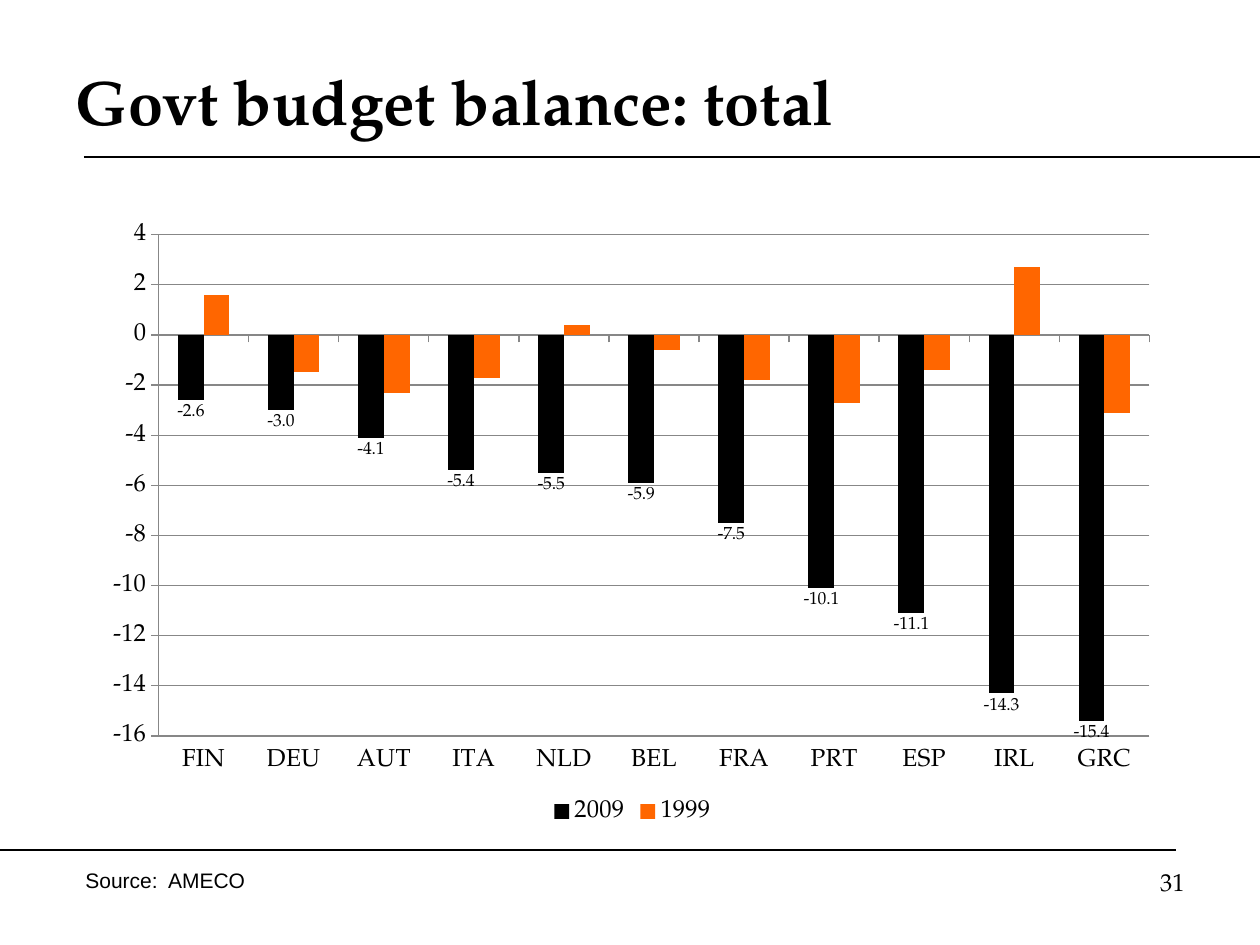
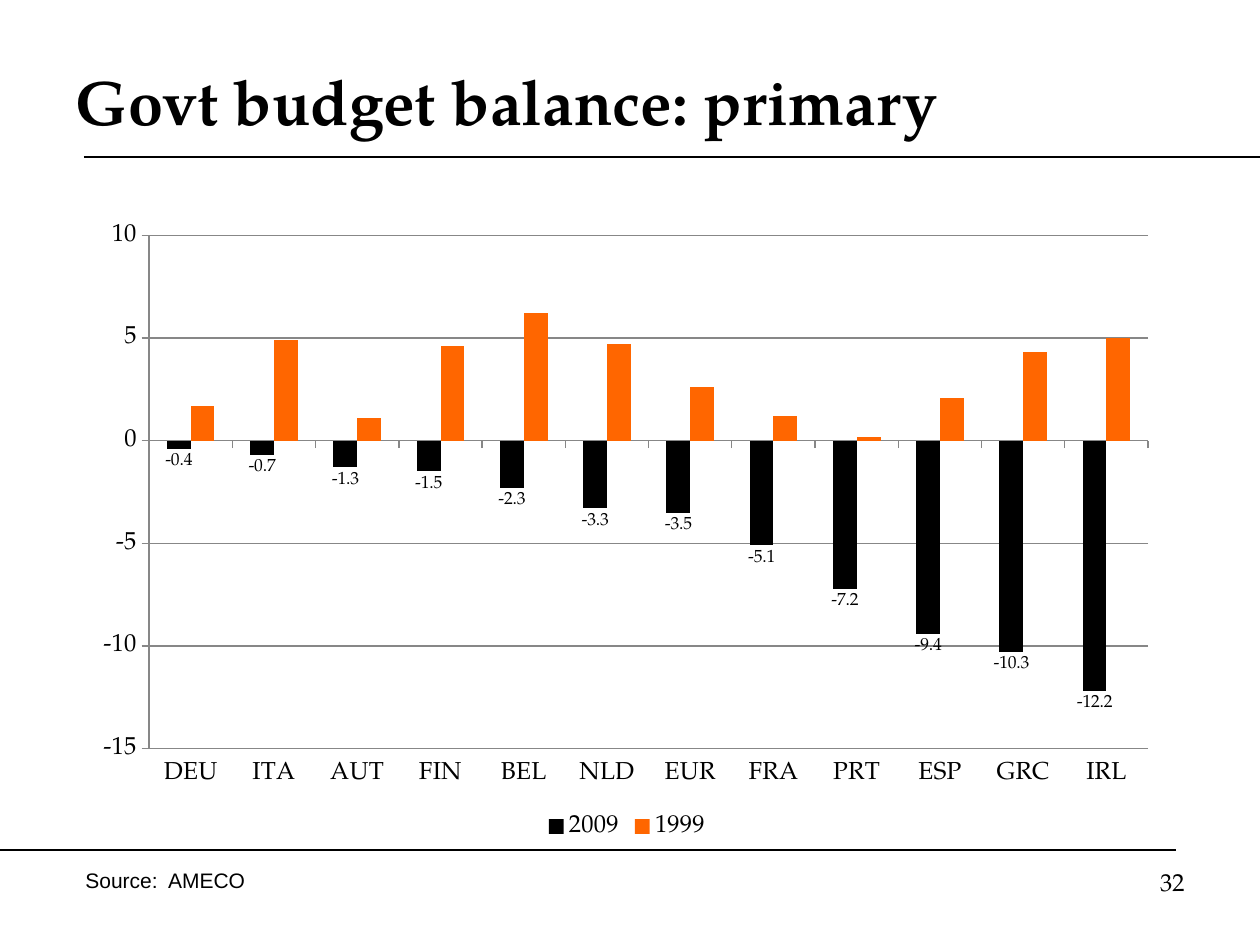
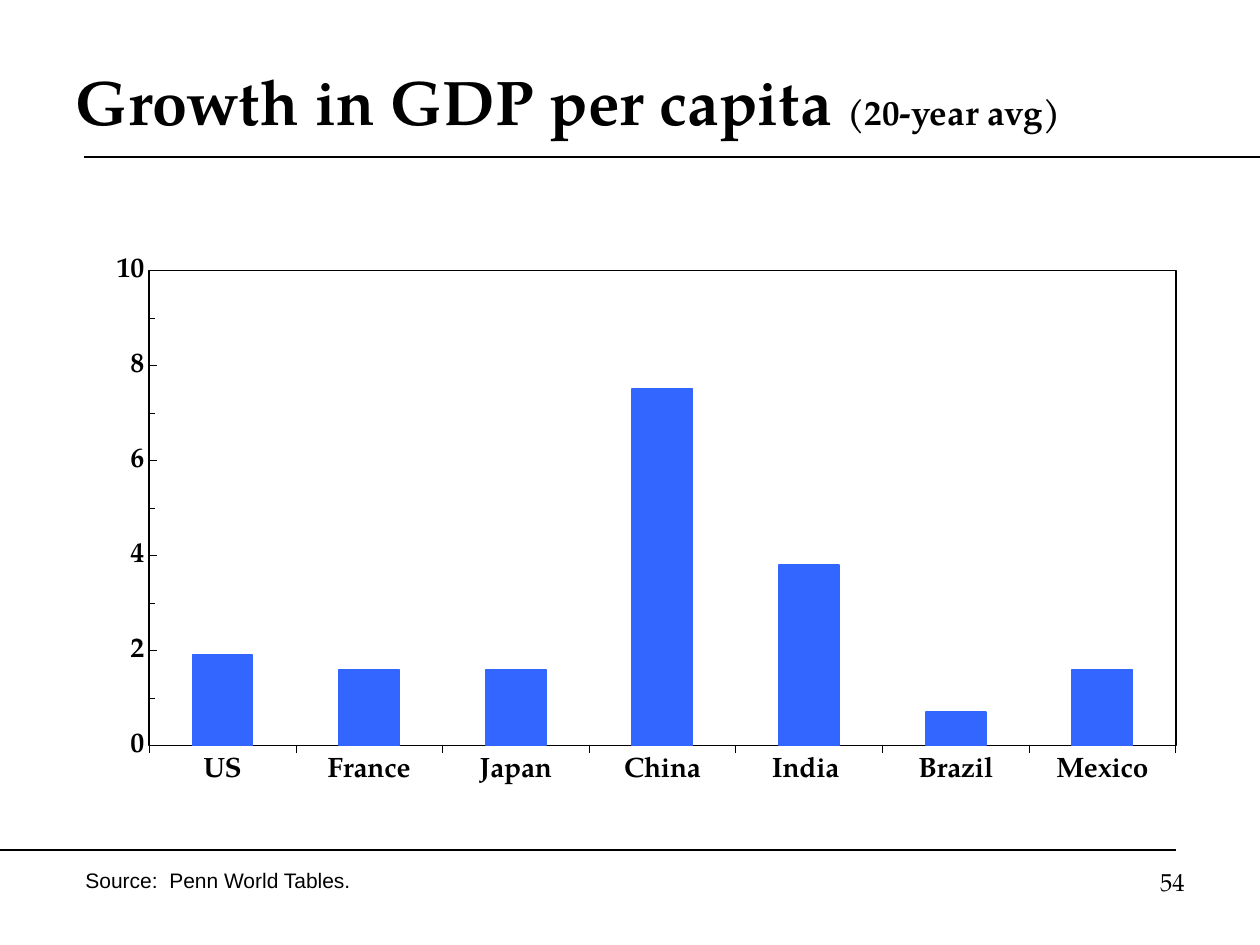
from dataclasses import dataclass

from pptx import Presentation
from pptx.chart.data import CategoryChartData
from pptx.dml.color import RGBColor
from pptx.enum.chart import (XL_CHART_TYPE, XL_LABEL_POSITION, XL_LEGEND_POSITION,
                             XL_TICK_LABEL_POSITION, XL_TICK_MARK)
from pptx.enum.text import MSO_ANCHOR, MSO_AUTO_SIZE, PP_ALIGN
from pptx.oxml import parse_xml
from pptx.oxml.ns import nsdecls
from pptx.util import Emu, Pt

COLUMN = XL_CHART_TYPE.COLUMN_CLUSTERED
BOTTOM = XL_LEGEND_POSITION.BOTTOM
LOW, NEAR = XL_TICK_LABEL_POSITION.LOW, XL_TICK_LABEL_POSITION.NEXT_TO_AXIS
OUT, IN, NONE = XL_TICK_MARK.OUTSIDE, XL_TICK_MARK.INSIDE, XL_TICK_MARK.NONE
OUTER = XL_LABEL_POSITION.OUTSIDE_END
LEFT, RIGHT = PP_ALIGN.LEFT, PP_ALIGN.RIGHT
MIDDLE = MSO_ANCHOR.MIDDLE
FIXED, GROW = MSO_AUTO_SIZE.NONE, MSO_AUTO_SIZE.SHAPE_TO_FIT_TEXT
SCALE = 914400 / 126


@dataclass(frozen=True)
class Theme:
    """Colours, fonts and type sizes of the deck."""
    ink: str = "000000"
    orange: str = "FF6600"
    blue: str = "3366FF"
    grey: str = "878787"
    serif: str = "TeX Gyre Pagella"
    sans: str = "Arial"
    title: int = 36
    sub: int = 20
    bold_axis: int = 16
    axis: int = 14
    note: int = 12
    label: int = 10


THEME = Theme()

TOTAL = {
    "cats": ["FIN", "DEU", "AUT", "ITA", "NLD", "BEL", "FRA", "PRT", "ESP", "IRL", "GRC"],
    "2009": [-2.6, -3, -4.1, -5.4, -5.5, -5.9, -7.5, -10.1, -11.1, -14.3, -15.4],
    "1999": [1.6, -1.5, -2.3, -1.7, 0.4, -0.6, -1.8, -2.7, -1.4, 2.7, -3.1],
}
PRIMARY = {
    "cats": ["DEU", "ITA", "AUT", "FIN", "BEL", "NLD", "EUR", "FRA", "PRT", "ESP", "GRC", "IRL"],
    "2009": [-0.4, -0.7, -1.3, -1.5, -2.3, -3.3, -3.5, -5.1, -7.2, -9.4, -10.3, -12.2],
    "1999": [1.7, 4.9, 1.1, 4.6, 6.2, 4.7, 2.6, 1.2, 0.2, 2.1, 4.3, 5],
}
GROWTH = {
    "cats": ["US", "France", "Japan", "China", "India ", "Brazil", "Mexico"],
    "Series 1": [1.9, 1.6, 1.6, 7.5, 3.8, 0.7, 1.6],
}


def px(*nums):
    """Turn px lengths into EMU."""
    return [Emu(round(num * SCALE)) for num in nums]


def put(item, **vals):
    """Set each named value on an object."""
    for name, val in vals.items():
        setattr(item, name, val)


def style(font, size, face=THEME.serif, bold=False):
    """Format a font in the ink colour."""
    put(font, size=Pt(size), name=face, bold=bold)
    font.color.rgb = RGBColor.from_string(THEME.ink)


def stroke(line, color, width):
    """Give a line its colour and width."""
    line.color.rgb = RGBColor.from_string(color)
    line.width = Pt(width)


def add_rule(slide, left, right, top):
    """Draw a thin line across the slide."""
    rule = slide.shapes.add_connector(1, *px(left, top, right, top))
    stroke(rule.line, THEME.ink, 0.75)
    rule.element.spPr.append(parse_xml(f"<a:effectLst {nsdecls('a')}/>"))


def add_text(slide, box, text, size, face, align, fit):
    """Add a text box with one line."""
    frame = slide.shapes.add_textbox(*px(*box)).text_frame
    put(frame, word_wrap=True, auto_size=fit)
    para = frame.paragraphs[0]
    para.alignment = align
    run = para.add_run()
    run.text = text
    style(run.font, size, face)


def set_title(slide, runs):
    """Place the title and fill it with sized runs."""
    title = slide.shapes.title
    left, top, width, height = px(63, 42, 1134, 116)
    put(title, left=left, top=top, width=width, height=height)
    frame = title.text_frame
    put(frame, word_wrap=True, auto_size=FIXED, vertical_anchor=MIDDLE)
    para = frame.paragraphs[0]
    para.alignment = LEFT
    for text, size in runs:
        run = para.add_run()
        run.text = text
        style(run.font, size, bold=True)


def add_page(deck, runs, number, source):
    """Add a slide with its title, rules, source and number."""
    slide = deck.slides.add_slide(deck.slide_layouts[5])
    set_title(slide, runs)
    add_rule(slide, 84, 1260, 157)
    add_rule(slide, 0, 1176, 850)
    add_text(slide, (903, 861, 294, 66), number, THEME.axis, THEME.serif, RIGHT, FIXED)
    add_text(slide, (73, 861, 609, 38), source, THEME.note, THEME.sans, LEFT, GROW)
    return slide


def set_plot(chart, area):
    """Fix the inner plot area as shares of the chart."""
    plot = chart._chartSpace.chart.plotArea
    for old in plot.xpath("c:layout"):
        plot.remove(old)
    parts = "".join(f'<c:{name} val="{val}"/>' for name, val in zip("xywh", area))
    plot.insert(0, parse_xml(
        f'<c:layout {nsdecls("c")}><c:manualLayout><c:layoutTarget val="inner"/>'
        f'<c:xMode val="edge"/><c:yMode val="edge"/>{parts}</c:manualLayout></c:layout>'))


def frame_plot(chart):
    """Draw a border around the plot area."""
    chart._chartSpace.chart.plotArea.append(parse_xml(
        f'<c:spPr {nsdecls("c", "a")}><a:noFill/><a:ln w="12700"><a:solidFill>'
        f'<a:srgbClr val="{THEME.ink}"/></a:solidFill></a:ln></c:spPr>'))


def add_bars(slide, box, data, colors, area, gap):
    """Add a column chart with flat coloured bars."""
    source = CategoryChartData()
    source.categories = data["cats"]
    for name, vals in data.items():
        if name != "cats":
            source.add_series(name, vals)
    chart = slide.shapes.add_chart(COLUMN, *px(*box), source).chart
    put(chart, has_title=False, has_legend=False)
    style(chart.font, THEME.label)
    plot = chart.plots[0]
    put(plot, gap_width=gap, overlap=0, vary_by_categories=False)
    for bars, color in zip(plot.series, colors):
        bars.invert_if_negative = False
        bars.format.fill.solid()
        bars.format.fill.fore_color.rgb = RGBColor.from_string(color)
    set_plot(chart, area)
    return chart


def set_axes(chart, span, size, bold, color, width, cat, val):
    """Format both axes and scale the value axis."""
    low, high, step = span
    put(chart.category_axis, has_major_gridlines=False, **cat)
    put(chart.value_axis, minimum_scale=low, maximum_scale=high, major_unit=step, **val)
    put(chart.value_axis.tick_labels, number_format="0", number_format_is_linked=False)
    for axis in (chart.category_axis, chart.value_axis):
        style(axis.tick_labels.font, size, bold=bold)
        stroke(axis.format.line, color, width)


def add_balance(slide, box, data, span):
    """Add a two-year chart with a legend and 2009 labels."""
    chart = add_bars(slide, box, data, (THEME.ink, THEME.orange), (0.06, 0.04, 0.92, 0.81), 150)
    set_axes(chart, span, THEME.axis, False, THEME.grey, 0.75,
             dict(major_tick_mark=OUT, minor_tick_mark=NONE, tick_label_position=LOW),
             dict(major_tick_mark=OUT, minor_tick_mark=NONE, has_major_gridlines=True))
    stroke(chart.value_axis.major_gridlines.format.line, THEME.grey, 0.75)
    chart.has_legend = True
    put(chart.legend, position=BOTTOM, include_in_layout=False)
    style(chart.legend.font, THEME.axis)
    labels = chart.plots[0].series[0].data_labels
    put(labels, show_value=True, number_format="0.0", number_format_is_linked=False,
        position=OUTER)
    style(labels.font, THEME.label)


def add_growth(slide, box, data):
    """Add a framed one-series chart with bold axes."""
    chart = add_bars(slide, box, data, (THEME.blue,), (0.07, 0.07, 0.92, 0.78), 144)
    set_axes(chart, (0, 10, 2), THEME.bold_axis, True, THEME.ink, 0.25,
             dict(major_tick_mark=OUT, minor_tick_mark=NONE, tick_label_position=NEAR),
             dict(major_tick_mark=IN, minor_tick_mark=IN, minor_unit=1,
                  has_major_gridlines=False))
    stroke(chart.plots[0].series[0].format.line, THEME.blue, 1)
    frame_plot(chart)


def main():
    """Build the deck and save it."""
    deck = Presentation()
    width, height = px(1260, 945)
    put(deck, slide_width=width, slide_height=height)
    pages = (
        ("total", "31", (94, 210, 1077, 619), TOTAL, (-16, 4, 2)),
        ("primary", "32", (84, 210, 1086, 634), PRIMARY, (-15, 10, 5)),
    )
    for kind, number, box, data, span in pages:
        slide = add_page(deck, [(f"Govt budget balance: {kind}", THEME.title)],
                         number, "Source:  AMECO")
        add_balance(slide, box, data, span)
    runs = [("Growth in GDP per capita ", THEME.title), ("(20-year avg)", THEME.sub)]
    slide = add_page(deck, runs, "54", "Source:  Penn World Tables.")
    add_growth(slide, (71, 228, 1116, 609), GROWTH)
    deck.save("out.pptx")


if __name__ == "__main__":
    main()
